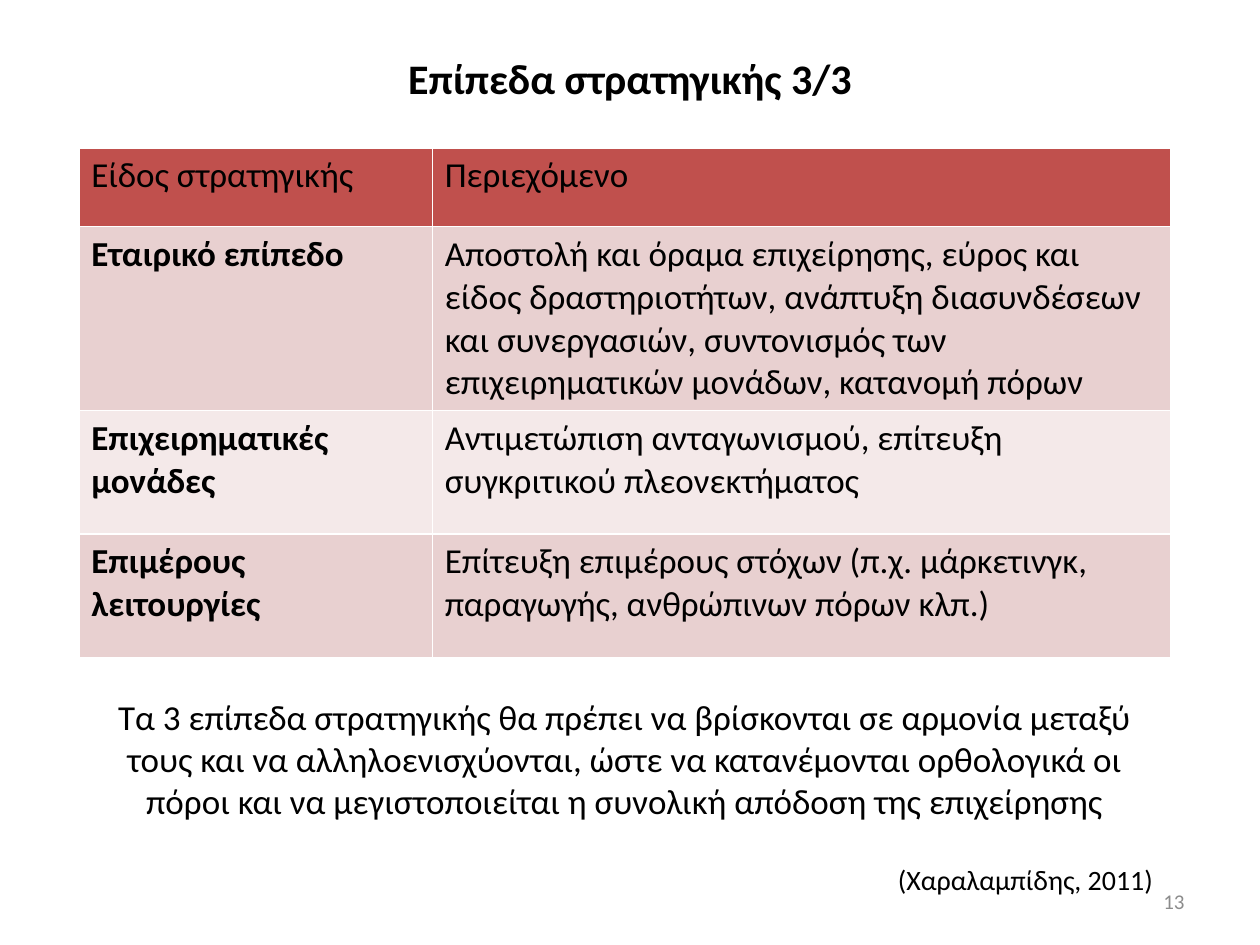
"""Build a slide with a table of the three strategy levels and a conclusion."""
from pptx import Presentation
from pptx.dml.color import RGBColor
from pptx.enum.text import MSO_ANCHOR, PP_ALIGN
from pptx.util import Pt

LEFT, CENTER, RIGHT = PP_ALIGN.LEFT, PP_ALIGN.CENTER, PP_ALIGN.RIGHT
TOP, MIDDLE = MSO_ANCHOR.TOP, MSO_ANCHOR.MIDDLE
BLACK = RGBColor(0x00, 0x00, 0x00)
GRAY = RGBColor(0x8C, 0x8C, 0x8C)
RED = RGBColor(0xC0, 0x50, 0x4D)
ROSE = RGBColor(0xE8, 0xD0, 0xD0)
PALE_ROSE = RGBColor(0xF4, 0xE9, 0xE9)

LEVELS = [
    ("Είδος στρατηγικής", "Περιεχόμενο"),
    ("Εταιρικό επίπεδο",
     "Αποστολή και όραμα επιχείρησης, εύρος και είδος δραστηριοτήτων, "
     "ανάπτυξη διασυνδέσεων και συνεργασιών, συντονισμός των "
     "επιχειρηματικών μονάδων, κατανομή πόρων"),
    ("Επιχειρηματικές μονάδες",
     "Αντιμετώπιση ανταγωνισμού, επίτευξη συγκριτικού πλεονεκτήματος"),
    ("Επιμέρους λειτουργίες",
     "Επίτευξη επιμέρους στόχων (π.χ. μάρκετινγκ, παραγωγής, "
     "ανθρώπινων πόρων κλπ.)"),
]
ROW_FILLS = [RED, ROSE, PALE_ROSE, ROSE]
ROW_HEIGHTS = [45, 100, 70.5, 70.5]
COLUMN_WIDTHS = [202, 422]
CONCLUSION = (
    "Τα 3 επίπεδα στρατηγικής θα πρέπει να βρίσκονται σε αρμονία μεταξύ τους "
    "και να αλληλοενισχύονται, ώστε να κατανέμονται ορθολογικά οι πόροι και "
    "να μεγιστοποιείται η συνολική απόδοση της επιχείρησης"
)


def write(frame, text, size, color=BLACK, bold=False, align=LEFT):
    paragraph = frame.paragraphs[0]
    paragraph.text = text
    paragraph.alignment = align
    font = paragraph.font
    font.name = "Calibri"
    font.size = Pt(size)
    font.bold = bold
    font.color.rgb = color


prs = Presentation()
prs.slide_width, prs.slide_height = Pt(720), Pt(540)
slide = prs.slides.add_slide(prs.slide_layouts[5])

title = slide.shapes.title
title.left, title.top, title.width, title.height = Pt(36), Pt(21.6), Pt(648), Pt(46)
title.text_frame.vertical_anchor = MIDDLE
write(title.text_frame, "Επίπεδα στρατηγικής 3/3", 24, bold=True, align=CENTER)

levels_table = slide.shapes.add_table(
    len(LEVELS), len(COLUMN_WIDTHS), Pt(45), Pt(84.5),
    Pt(sum(COLUMN_WIDTHS)), Pt(sum(ROW_HEIGHTS))).table
for column, width in zip(levels_table.columns, COLUMN_WIDTHS):
    column.width = Pt(width)
for row_index, (row, height) in enumerate(zip(levels_table.rows, ROW_HEIGHTS)):
    row.height = Pt(height)
    for column_index, cell in enumerate(row.cells):
        cell.fill.solid()
        cell.fill.fore_color.rgb = ROW_FILLS[row_index]
        is_level_name = row_index > 0 and column_index == 0
        write(cell.text_frame, LEVELS[row_index][column_index], 20, bold=is_level_name)

captions = [
    (CONCLUSION, 45, 394, 624, 80, 20, BLACK, CENTER, TOP, True),
    ("(Χαραλαμπίδης, 2011)", 506, 489.5, 162, 26.5, 16, BLACK, LEFT, TOP, False),
    ("13", 516, 500.5, 168, 28.75, 12, GRAY, RIGHT, MIDDLE, True),
]
for text, left, top, width, height, size, color, align, anchor, wrap in captions:
    frame = slide.shapes.add_textbox(Pt(left), Pt(top), Pt(width), Pt(height)).text_frame
    frame.word_wrap = wrap
    frame.vertical_anchor = anchor
    write(frame, text, size, color, align=align)

prs.save("out.pptx")
